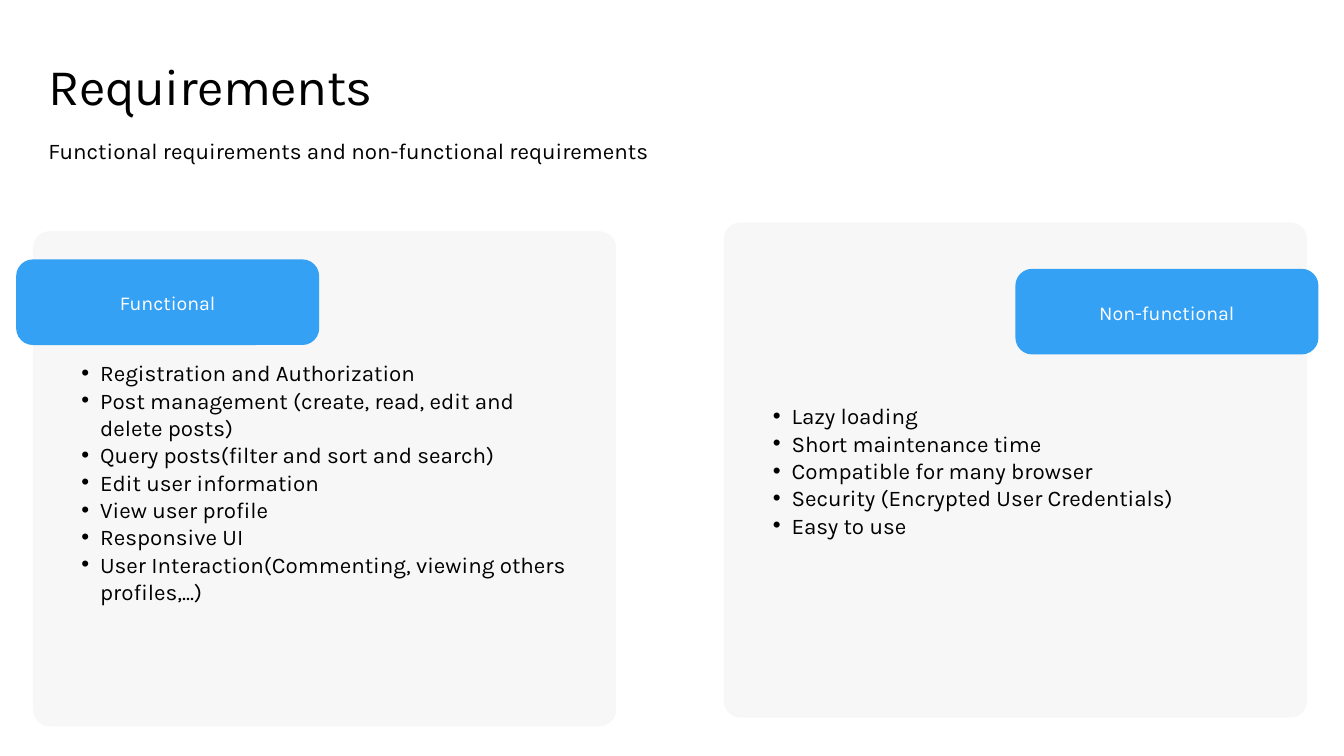
from lxml import etree
from pptx import Presentation
from pptx.dml.color import RGBColor
from pptx.enum.shapes import MSO_SHAPE
from pptx.enum.text import PP_ALIGN
from pptx.oxml.ns import qn
from pptx.util import Inches, Pt

ROUNDED = MSO_SHAPE.ROUNDED_RECTANGLE
LEFT, CENTER = PP_ALIGN.LEFT, PP_ALIGN.CENTER
WIDTH, HEIGHT = Inches(20), Inches(11.25)
RADIUS = Inches(0.25)
FONT = "Karla"
BLACK, WHITE, BLUE = "000000", "FFFFFF", "35A1F4"
PANEL_SIZE = (43.4, 65.51)
TAG_SIZE = (22.55, 11.33)
LABEL_INSET = (1.85, 3.96)
LABEL_SIZE = (18.85, 3.29)
LIST_WIDTH = 38.3
LIST_LINE = 29.3

SECTIONS = [
    {
        "panel": (2.45, 30.58),
        "tag": (1.2, 34.31),
        "list": (4.6, 47.47),
        "label": "Functional",
        "items": [
            "Registration and Authorization",
            "Post management (create, read, edit and delete posts)",
            "Query posts(filter and sort and search)",
            "Edit user information",
            "View user profile",
            "Responsive UI",
            "User Interaction(Commenting, viewing others profiles,...)",
        ],
        "list_height": 33.33,
    },
    {
        "panel": (53.85, 29.42),
        "tag": (75.55, 35.56),
        "list": (56.05, 53.16),
        "label": "Non-functional",
        "items": [
            "Lazy loading",
            "Short maintenance time",
            "Compatible for many browser",
            "Security (Encrypted User Credentials)",
            "Easy to use",
        ],
        "list_height": 21.96,
    },
]


def color(value):
    return RGBColor.from_string(value)


def frame(position, size):
    (x, y), (w, h) = position, size
    return [int(share * side / 100)
            for share, side in zip((x, y, w, h), (WIDTH, HEIGHT) * 2)]


def add_card(s, position, size, fill, opacity=100):
    sp = s.shapes.add_shape(ROUNDED, *frame(position, size))
    sp.adjustments[0] = RADIUS / min(sp.width, sp.height)
    sp.shadow.inherit = False
    sp.line.fill.background()
    sp.fill.solid()
    sp.fill.fore_color.rgb = color(fill)
    if opacity < 100:
        clr = sp._element.spPr.find(qn("a:solidFill"))[0]
        etree.SubElement(clr, qn("a:alpha"), val=str(opacity * 1000))


def add_bullet(p):
    p.level = 1
    pPr = p._p.get_or_add_pPr()
    pPr.set("marL", str(Inches(0.57)))
    pPr.set("indent", str(Inches(-0.28)))
    etree.SubElement(pPr, qn("a:buFont"), typeface="Arial")
    etree.SubElement(pPr, qn("a:buChar"), char="•")


def add_text(s, lines, position, size, font_size=24, line=LIST_LINE,
             fill=BLACK, align=LEFT, spacing=0, bullets=False):
    tf = s.shapes.add_textbox(*frame(position, size)).text_frame
    tf.word_wrap = True
    tf.margin_left = tf.margin_right = tf.margin_top = tf.margin_bottom = 0
    for i, text in enumerate(lines):
        p = tf.add_paragraph() if i else tf.paragraphs[0]
        p.alignment = align
        p.line_spacing = Pt(line)
        if bullets:
            add_bullet(p)
        r = p.add_run()
        r.text = text
        r.font.name = FONT
        r.font.size = Pt(font_size)
        r.font.color.rgb = color(fill)
        if spacing:
            r._r.get_or_add_rPr().set("spc", str(int(spacing * 100)))


def add_section(s, section):
    add_card(s, section["panel"], PANEL_SIZE, BLACK, opacity=3)
    add_card(s, section["tag"], TAG_SIZE, BLUE)
    label_at = [a + b for a, b in zip(section["tag"], LABEL_INSET)]
    add_text(s, [section["label"]], label_at, LABEL_SIZE, font_size=21,
             line=27.3, fill=WHITE, align=CENTER)
    add_text(s, section["items"], section["list"],
             (LIST_WIDTH, section["list_height"]), bullets=True)


def main():
    prs = Presentation()
    prs.slide_width, prs.slide_height = WIDTH, HEIGHT
    s = prs.slides.add_slide(prs.slide_layouts[6])
    add_text(s, ["Requirements"], (3.6, 5.78), (46.4, 8.89),
             font_size=55, line=77, spacing=-0.6)
    add_text(s, ["Functional requirements and non-functional requirements"],
             (3.6, 17.6), (46.4, 3.82), line=33.6)
    for section in SECTIONS:
        add_section(s, section)
    prs.save("out.pptx")


if __name__ == "__main__":
    main()
